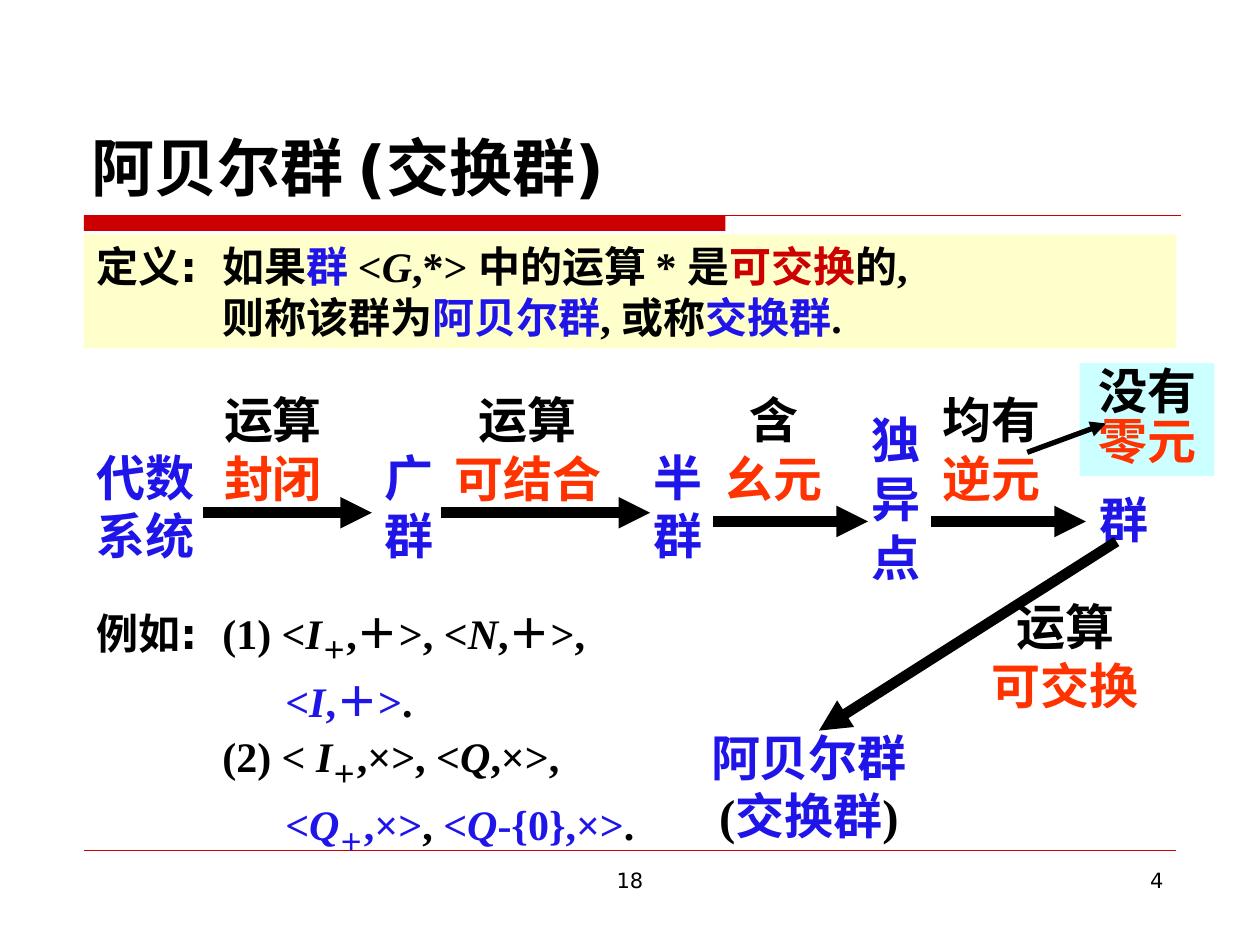
import pptx
import pptx.dml.color
import pptx.enum.shapes
import pptx.enum.text
import pptx.oxml.ns
import pptx.util
from lxml import etree

Pt = pptx.util.Pt
ALIGN = pptx.enum.text.PP_ALIGN
SHAPES = pptx.enum.shapes.MSO_SHAPE
BLACK, BLUE, RED, ORANGE = "000000", "1F15E9", "CC0000", "FF3300"
colour = pptx.dml.color.RGBColor.from_string


def write(box, paragraphs, size=28, align=ALIGN.CENTER, bold=True, font="Times New Roman"):
    """Fill a box; a span is (text, colour, style), with style i italic, s subscript, d sans."""
    frame = box.text_frame
    frame.word_wrap = True
    frame.auto_size = pptx.enum.text.MSO_AUTO_SIZE.NONE
    for number, spans in enumerate(paragraphs):
        para = frame.add_paragraph() if number else frame.paragraphs[0]
        para.alignment = align
        for text, fill, style in spans:
            span = para.add_run()
            span.text = text
            span.font.name = "DejaVu Sans" if style == "d" else font
            span.font.size = Pt(size)
            span.font.bold = bold
            span.font.italic = style == "i"
            span.font.color.rgb = colour(fill)
            if style == "s":
                span._r.get_or_add_rPr().set("baseline", "-25000")


def draw_line(start, end, fill, width, arrow=False):
    line = page.shapes.add_connector(
        pptx.enum.shapes.MSO_CONNECTOR.STRAIGHT, *[Pt(v) for v in start + end])
    line.line.color.rgb = colour(fill)
    line.line.width = Pt(width)
    if arrow:
        etree.SubElement(line.line._get_or_add_ln(), pptx.oxml.ns.qn("a:tailEnd"), type="triangle")
    etree.SubElement(line._element.spPr, pptx.oxml.ns.qn("a:effectLst"))


deck = pptx.Presentation()
deck.slide_width, deck.slide_height = Pt(720), Pt(540)
page = deck.slides.add_slide(deck.slide_layouts[5])

# Title and rules
title = page.shapes.title
title.left, title.top, title.width, title.height = Pt(45), Pt(24), Pt(630), Pt(96)
write(title, [[("阿贝尔群 (交换群)", BLACK, "")]], 36, ALIGN.LEFT, font="DejaVu Sans")
title.text_frame.vertical_anchor = pptx.enum.text.MSO_ANCHOR.BOTTOM
draw_line((48, 123), (675, 123), RED, 0.75)
draw_line((48, 486), (672, 486), RED, 0.25)

# Filled rectangles: title bar, definition, note
panels = []
for left, top, width, height, fill in [
    (48, 123, 366.5, 9, RED),
    (48, 134, 624, 65, "FFFFCC"),
    (617, 207.5, 77, 64.5, "CCFFFF"),
]:
    panel = page.shapes.add_shape(SHAPES.RECTANGLE, Pt(left), Pt(top), Pt(width), Pt(height))
    panel.shadow.inherit = False
    panel.fill.solid()
    panel.fill.fore_color.rgb = colour(fill)
    panel.line.fill.background()
    panel.text_frame.vertical_anchor = pptx.enum.text.MSO_ANCHOR.TOP
    panels.append(panel)
bar, definition, note = panels

write(definition, [
    [("定义", BLACK, ""), (": \t", BLACK, "d"), ("如果", BLACK, ""), ("群 ", BLUE, ""),
     ("<", BLACK, ""), ("G", BLACK, "i"), (",*> 中的运算 * 是", BLACK, ""),
     ("可交换", RED, ""), ("的,", BLACK, "")],
    [("则称该群为", BLACK, ""), ("阿贝尔群", BLUE, ""), (", 或称", BLACK, ""),
     ("交换群", BLUE, ""), (".", BLACK, "")],
], 24, ALIGN.LEFT)
write(note, [[("没有", BLACK, ""), ("零元", ORANGE, "")]])
note.text_frame.paragraphs[0].line_spacing = 0.85

# Chain of structures and the condition on each step
for left, top, width, height, lines in [
    (42.5, 252, 81.5, 75, [[("代数系统", BLUE, "")]]),
    (212.5, 252, 42.5, 75, [[("广群", BLUE, "")]]),
    (363.5, 252, 47.5, 75, [[("半群", BLUE, "")]]),
    (488, 230.5, 47.5, 108, [[("独异点", BLUE, "")]]),
    (618.5, 276, 47.5, 41, [[("群", BLUE, "")]]),
    (383, 412, 158.5, 75, [[("阿贝尔群", BLUE, "")],
                           [("(", BLACK, ""), ("交换群", BLUE, ""), (")", BLACK, "")]]),
    (119.5, 219, 73, 75, [[("运算", BLACK, "")], [("封闭", ORANGE, "")]]),
    (251.5, 219, 100, 75, [[("运算", BLACK, "")], [("可结合", ORANGE, "")]]),
    (405.5, 219, 73.5, 75, [[("含", BLACK, "")], [("幺元", ORANGE, "")]]),
    (530, 219, 73.5, 75, [[("均有", BLACK, "")], [("逆元", ORANGE, "")]]),
    (553, 337.5, 111.5, 75, [[("运算", BLACK, "")], [("可交换", ORANGE, "")]]),
]:
    write(page.shapes.add_textbox(Pt(left), Pt(top), Pt(width), Pt(height)), lines)

for start, end, width in [
    ((116, 293), (212.5, 293), 6),
    ((252, 293), (371.5, 293), 6),
    ((407.5, 298), (496, 298), 6),
    ((532, 298), (620.5, 298), 6),
    ((638, 309.5), (468, 417.5), 6),
    ((587, 258.5), (632, 242), 3),
]:
    draw_line(start, end, BLACK, width, arrow=True)

# Examples
first = page.shapes.add_textbox(Pt(48), Pt(343.5), Pt(368.5), Pt(75))
write(first, [
    [("例如", BLACK, ""), (": \t", BLACK, "d"), ("(1) <", BLACK, ""), ("I", BLACK, "i"),
     ("＋", BLACK, "s"), (",＋>, <", BLACK, ""), ("N", BLACK, "i"), (",＋>,", BLACK, "")],
    [("<", BLUE, ""), ("I", BLUE, "i"), (",＋>", BLUE, ""), (".", BLACK, "")],
], 24, ALIGN.LEFT)
second = page.shapes.add_textbox(Pt(48), Pt(414), Pt(368.5), Pt(79))
write(second, [
    [("(2) <", BLACK, ""), (" I", BLACK, "i"), ("＋", BLACK, "s"), (",×>, <", BLACK, ""),
     ("Q", BLACK, "i"), (",×>,", BLACK, "")],
    [("<", BLUE, ""), ("Q", BLUE, "i"), ("＋", BLUE, "s"), (",×>", BLUE, ""), (", ", BLACK, ""),
     ("<", BLUE, ""), ("Q", BLUE, "i"), ("-{0},×>", BLUE, ""), (".", BLACK, "")],
], 24, ALIGN.LEFT)
first.text_frame.paragraphs[1].space_before = Pt(6)
second.text_frame.paragraphs[1].space_before = Pt(6)

# Left margin and first-line indent of each paragraph
for box, indents in [
    (definition, [(72, -72), (72, 0)]),
    (first, [(72, -72), (108, 0)]),
    (second, [(72, 0), (108, 0)]),
]:
    for para, (margin, indent) in zip(box.text_frame.paragraphs, indents):
        properties = para._p.get_or_add_pPr()
        properties.set("marL", str(Pt(margin)))
        properties.set("indent", str(Pt(indent)))

# Footer
for left, width, text, align in [(246, 228, "18", ALIGN.CENTER), (516, 156, "4", ALIGN.RIGHT)]:
    footer = page.shapes.add_textbox(Pt(left), Pt(492), Pt(width), Pt(37.5))
    write(footer, [[(text, BLACK, "")]], 12, align, bold=False, font="DejaVu Sans")

deck.save("out.pptx")
